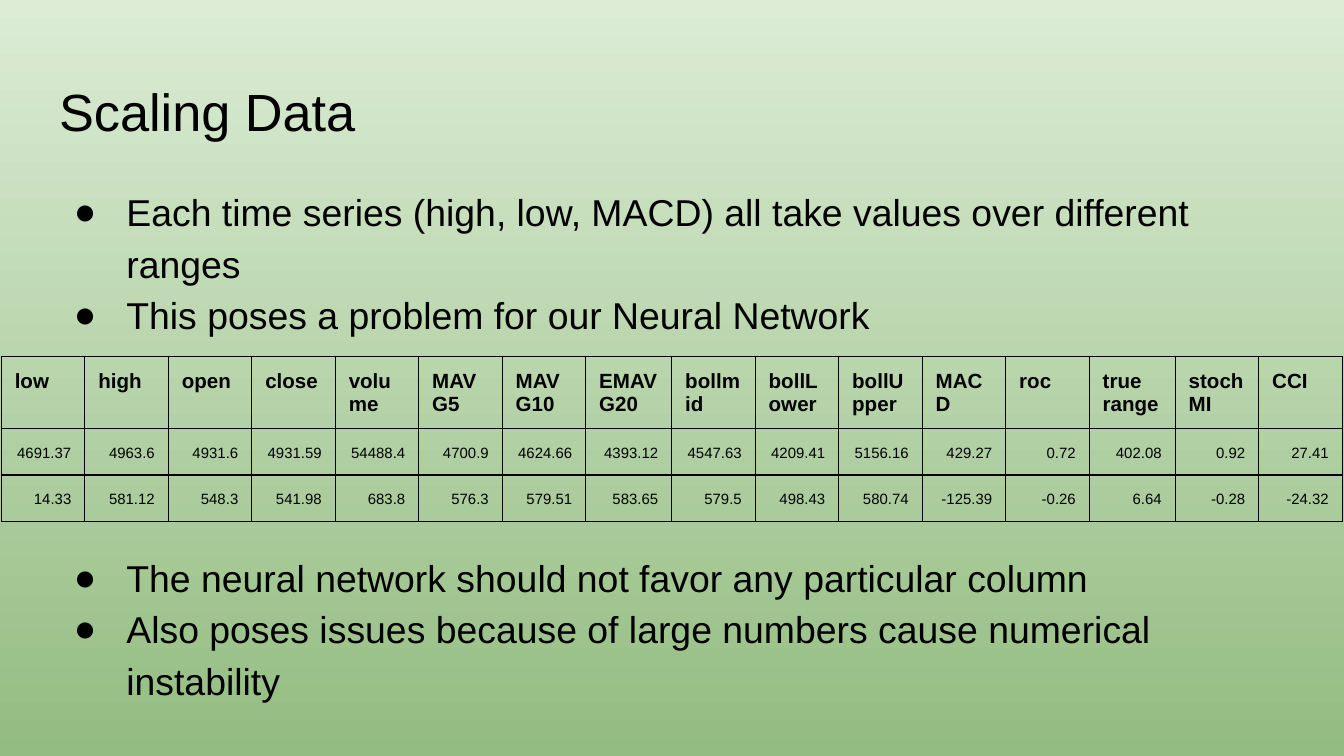
import pptx
import pptx.dml.color
import pptx.enum.text
import pptx.oxml
import pptx.oxml.ns
import pptx.util

Inches = pptx.util.Inches
Pt = pptx.util.Pt
ALIGN = pptx.enum.text.PP_ALIGN
BLACK = "000000"
FONT = "Arial"
MARGIN = 0.1
NAMESPACE = pptx.oxml.ns.nsdecls("a")

HEADERS = ["low", "high", "open", "close", "volume", "MAVG5", "MAVG10", "EMAVG20",
           "bollmid", "bollLower", "bollUpper", "MACD", "roc", "true range", "stochMI", "CCI"]
MAXIMA = ["4691.37", "4963.6", "4931.6", "4931.59", "54488.4", "4700.9", "4624.66", "4393.12",
          "4547.63", "4209.41", "5156.16", "429.27", "0.72", "402.08", "0.92", "27.41"]
MINIMA = ["14.33", "581.12", "548.3", "541.98", "683.8", "576.3", "579.51", "583.65",
          "579.5", "498.43", "580.74", "-125.39", "-0.26", "6.64", "-0.28", "-24.32"]
WIDE_COLUMNS = {"EMAVG20", "true range"}
WIDE_WIDTH = 0.64
ROW_HEIGHTS = [0.54, 0.34, 0.34]


def color(value):
    return pptx.dml.color.RGBColor.from_string(value)


def set_attributes(target, values):
    for name, value in values.items():
        setattr(target, name, value)


def write_paragraph(paragraph, text, size, bold=False, align=ALIGN.LEFT, spacing=1.0):
    set_attributes(paragraph, {"alignment": align, "line_spacing": spacing,
                               "space_before": Pt(0), "space_after": Pt(0)})
    run = paragraph.add_run()
    run.text = text
    set_attributes(run.font, {"name": FONT, "size": Pt(size), "bold": bold})
    run.font.color.rgb = color(BLACK)


def set_margins(target):
    set_attributes(target, {f"margin_{side}": Inches(MARGIN)
                            for side in ("left", "top", "right", "bottom")})


def place_text(shape, box):
    """Moves a placeholder to its box and returns its text frame."""
    set_attributes(shape, dict(zip(("left", "top", "width", "height"), map(Inches, box))))
    frame = shape.text_frame
    set_margins(frame)
    set_attributes(frame, {"word_wrap": True,
                           "auto_size": pptx.enum.text.MSO_AUTO_SIZE.NONE,
                           "vertical_anchor": pptx.enum.text.MSO_ANCHOR.TOP})
    return frame


def add_bullet(paragraph):
    properties = paragraph._p.get_or_add_pPr()
    properties.set("marL", str(Inches(0.5)))
    properties.set("indent", str(Inches(-0.39)))
    for xml in (f'<a:buClr {NAMESPACE}><a:srgbClr val="{BLACK}"/></a:buClr>',
                f'<a:buFont {NAMESPACE} typeface="{FONT}"/>',
                f'<a:buChar {NAMESPACE} char="●"/>'):
        properties.append(pptx.oxml.parse_xml(xml))


def fill_title(shape, box, text):
    write_paragraph(place_text(shape, box).paragraphs[0], text, 28)


def fill_bullets(shape, box, items):
    frame = place_text(shape, box)
    for index, item in enumerate(items):
        paragraph = frame.add_paragraph() if index else frame.paragraphs[0]
        write_paragraph(paragraph, item, 20, spacing=1.15)
        add_bullet(paragraph)


def format_cell(cell):
    set_margins(cell)
    cell.fill.background()
    # Borders come before the fill in the cell properties
    properties = cell._tc.get_or_add_tcPr()
    for index, tag in enumerate(("lnL", "lnR", "lnT", "lnB")):
        properties.insert(index, pptx.oxml.parse_xml(
            f'<a:{tag} {NAMESPACE} w="{Pt(0.75)}"><a:solidFill>'
            f'<a:srgbClr val="{BLACK}"/></a:solidFill></a:{tag}>'))


def add_range_table(slide, left, top, width):
    rows = [HEADERS, MAXIMA, MINIMA]
    wide_count = len(WIDE_COLUMNS)
    normal_width = (width - wide_count * WIDE_WIDTH) / (len(HEADERS) - wide_count)
    box = map(Inches, (left, top, width, sum(ROW_HEIGHTS)))
    table = slide.shapes.add_table(len(rows), len(HEADERS), *box).table
    set_attributes(table, {"first_row": False, "horz_banding": False})
    for column, header in zip(table.columns, HEADERS):
        column.width = Inches(WIDE_WIDTH if header in WIDE_COLUMNS else normal_width)
    for row, height, texts in zip(table.rows, ROW_HEIGHTS, rows):
        row.height = Inches(height)
        if texts is HEADERS:
            style = {"size": 11, "bold": True}
        else:
            style = {"size": 8, "align": ALIGN.RIGHT, "spacing": 1.15}
        for cell, text in zip(row.cells, texts):
            format_cell(cell)
            write_paragraph(cell.text_frame.paragraphs[0], text, **style)


def set_background(slide, top_color, bottom_color):
    fill = slide.background.fill
    fill.gradient()
    fill.gradient_angle = 270
    for stop, value in zip(fill.gradient_stops, (top_color, bottom_color)):
        stop.color.rgb = color(value)


def build_scaling_slide(presentation):
    # The two-content layout has a title and two lists
    slide = presentation.slides.add_slide(presentation.slide_layouts[3])
    set_background(slide, "DCECD5", "93BC81")
    title, upper_list, lower_list = list(slide.placeholders)[:3]
    left, width = 0.34, 9.32

    # Title and upper list
    fill_title(title, (left, 0.49, width, 0.63), "Scaling Data")
    fill_bullets(upper_list, (left, 1.26, width, 1.29), [
        "Each time series (high, low, MACD) all take values over different ranges",
        "This poses a problem for our Neural Network"])

    # Table of value ranges
    add_range_table(slide, 0.01, 2.65, 9.98)

    # Lower list
    fill_bullets(lower_list, (left, 3.98, width, 1.29), [
        "The neural network should not favor any particular column",
        "Also poses issues because of large numbers cause numerical instability"])


def main():
    presentation = pptx.Presentation()
    # Widescreen page, 16:9
    slide_width = Inches(10)
    set_attributes(presentation, {"slide_width": slide_width,
                                  "slide_height": slide_width * 9 // 16})
    build_scaling_slide(presentation)
    presentation.save("out.pptx")


if __name__ == "__main__":
    main()
